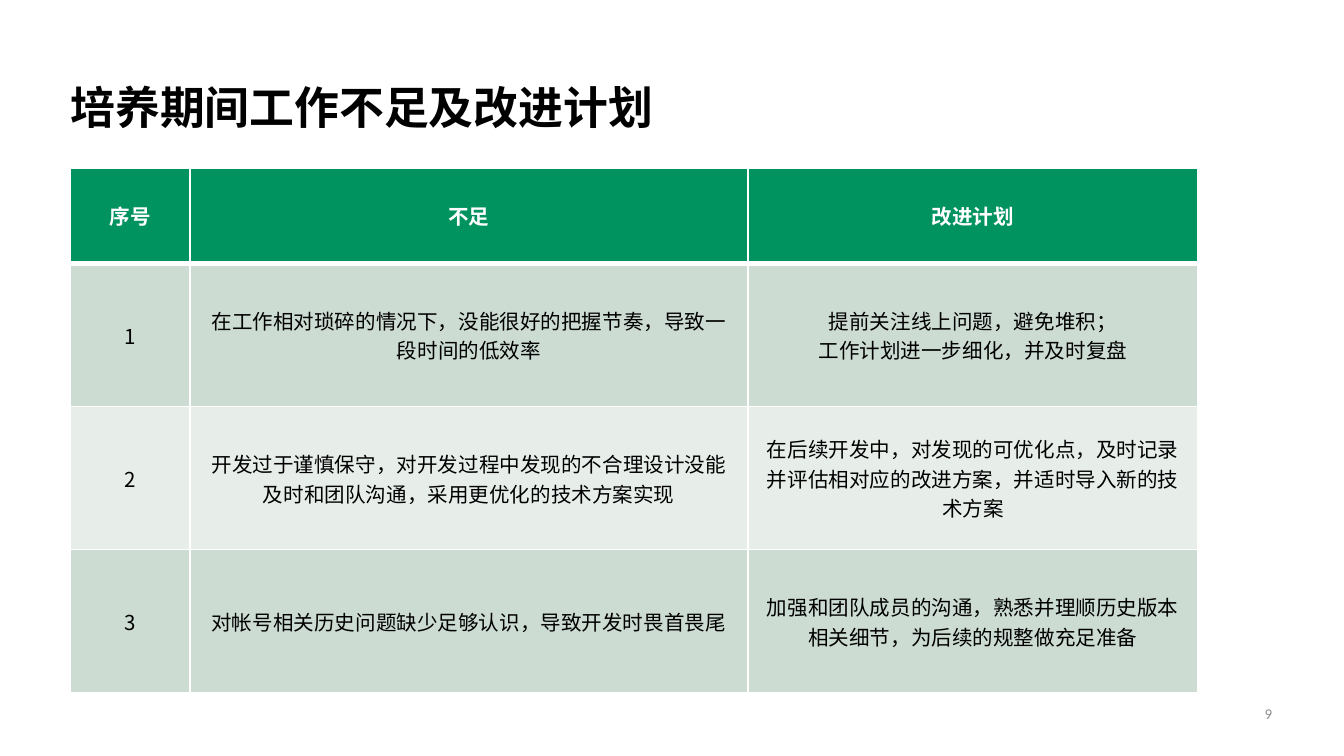
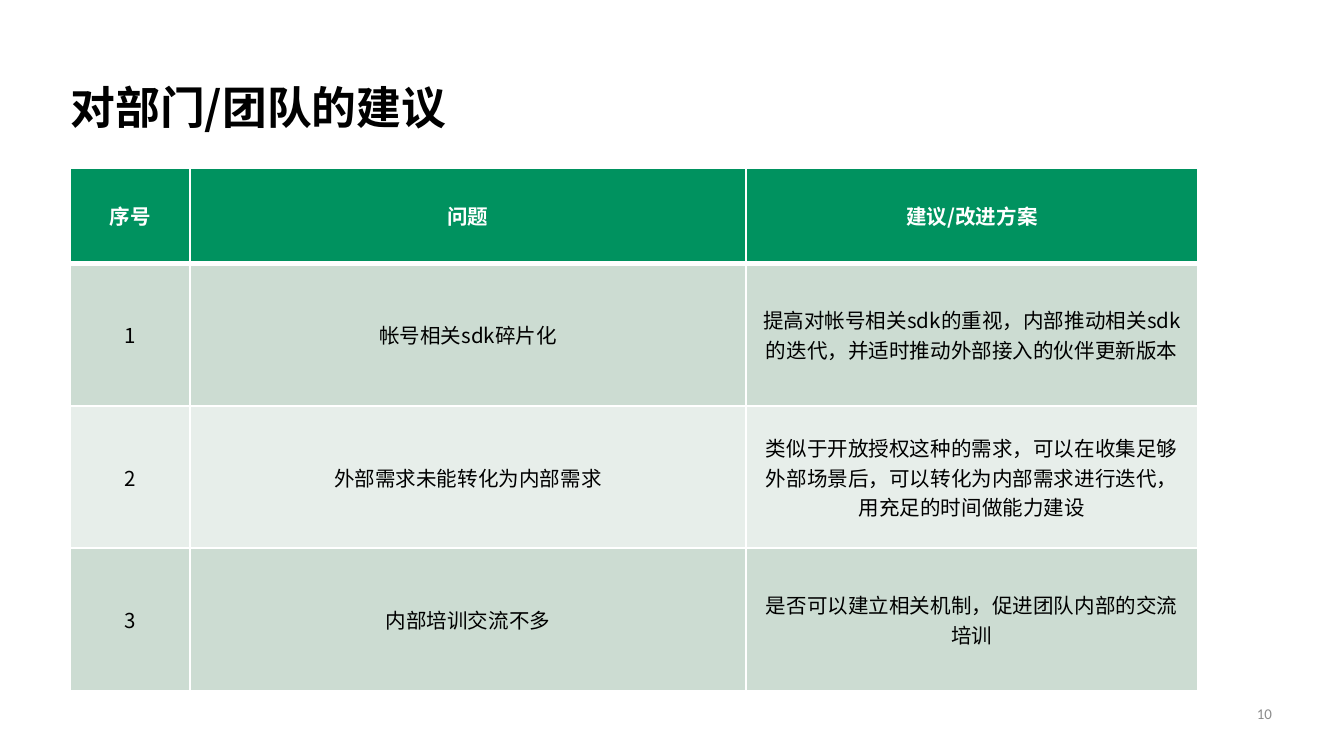
import pptx
import pptx.util
import pptx.dml.color
import pptx.enum.text
import pptx.oxml
import pptx.oxml.ns
from lxml import etree

PX = 4572  # EMU per px, 200 px to the inch
LEFT_EDGE = 105
COLORS = {
    "header": "00925F",
    "odd_row": "CCDCD2",
    "even_row": "E7EEEA",
    "border": "FFFFFF",
    "header_text": "FFFFFF",
    "text": "000000",
    "page_number": "8C8C8C",
}
CJK_FONT = "Noto Sans CJK SC"
HEADER_HEIGHT = 142
ALIGN = pptx.enum.text.PP_ALIGN
ANCHOR = pptx.enum.text.MSO_ANCHOR
AUTO_SIZE = pptx.enum.text.MSO_AUTO_SIZE

PAGES = [
    {
        "number": "9",
        "title": "培养期间工作不足及改进计划",
        "columns": [178, 830, 670],
        "row_height": 213,
        "rows": [
            ("序号", "不足", "改进计划"),
            ("1", "在工作相对琐碎的情况下，没能很好的把握节奏，导致一段时间的低效率",
             "提前关注线上问题，避免堆积；\n工作计划进一步细化，并及时复盘"),
            ("2", "开发过于谨慎保守，对开发过程中发现的不合理设计没能及时和团队沟通，采用更优化的技术方案实现",
             "在后续开发中，对发现的可优化点，及时记录并评估相对应的改进方案，并适时导入新的技术方案"),
            ("3", "对帐号相关历史问题缺少足够认识，导致开发时畏首畏尾",
             "加强和团队成员的沟通，熟悉并理顺历史版本相关细节，为后续的规整做充足准备"),
        ],
    },
    {
        "number": "10",
        "title": "对部门/团队的建议",
        "columns": [178, 827, 673],
        "row_height": 212,
        "rows": [
            ("序号", "问题", "建议/改进方案"),
            ("1", "帐号相关sdk碎片化",
             "提高对帐号相关sdk的重视，内部推动相关sdk的迭代，并适时推动外部接入的伙伴更新版本"),
            ("2", "外部需求未能转化为内部需求",
             "类似于开放授权这种的需求，可以在收集足够外部场景后，可以转化为内部需求进行迭代，用充足的时间做能力建设"),
            ("3", "内部培训交流不多",
             "是否可以建立相关机制，促进团队内部的交流培训"),
        ],
    },
]


def px(*lengths):
    return [pptx.util.Emu(length * PX) for length in lengths]


def rgb(name):
    return pptx.dml.color.RGBColor.from_string(COLORS[name])


def write(frame, text, size, color, align, bold=False, font=CJK_FONT):
    """Fill a text frame, one paragraph per line, in a single style."""
    frame.text = text
    for paragraph in frame.paragraphs:
        paragraph.alignment = align
        paragraph.font.size = pptx.util.Pt(size)
        paragraph.font.bold = bold
        paragraph.font.name = font
        paragraph.font.color.rgb = rgb(color)
        # East Asian glyphs take their own typeface entry
        defaults = paragraph._p.pPr.find(pptx.oxml.ns.qn("a:defRPr"))
        east_asian = etree.SubElement(defaults, pptx.oxml.ns.qn("a:ea"))
        east_asian.set("typeface", font)


def set_insets(frame, left, top, right, bottom):
    frame.margin_left, frame.margin_top, frame.margin_right, frame.margin_bottom = px(
        left, top, right, bottom)


def set_borders(cell, bottom):
    """Draw solid borders, 1 pt wide but for the bottom one."""
    properties = cell._tc.get_or_add_tcPr()
    widths = {"lnL": 1, "lnR": 1, "lnT": 1, "lnB": bottom}
    for position, (side, width) in enumerate(widths.items()):
        line = pptx.oxml.parse_xml(
            f'<a:{side} {pptx.oxml.ns.nsdecls("a")} w="{pptx.util.Pt(width)}">'
            f'<a:solidFill><a:srgbClr val="{COLORS["border"]}"/></a:solidFill>'
            f'</a:{side}>')
        properties.insert(position, line)


def add_title(slide, text):
    title = slide.shapes.title
    title.left, title.top, title.width, title.height = px(LEFT_EDGE, 109, 1286, 100)
    frame = title.text_frame
    frame.word_wrap = True
    frame.auto_size = AUTO_SIZE.NONE
    frame.vertical_anchor = ANCHOR.MIDDLE
    set_insets(frame, 0, 0, 20, 0)
    write(frame, text, 24, "text", ALIGN.LEFT, bold=True)


def add_page_number(slide, number):
    frame = slide.shapes.add_textbox(*px(1717, 1039, 176, 48)).text_frame
    frame.word_wrap = True
    frame.auto_size = AUTO_SIZE.SHAPE_TO_FIT_TEXT
    set_insets(frame, 20, 10, 0, 10)
    write(frame, number, 8, "page_number", ALIGN.RIGHT, font="Calibri")


def add_plan_table(slide, columns, row_height, rows):
    heights = [HEADER_HEIGHT] + [row_height] * (len(rows) - 1)
    table = slide.shapes.add_table(
        len(rows), len(columns),
        *px(LEFT_EDGE, 250, sum(columns), sum(heights))).table
    for column, width in zip(table.columns, px(*columns)):
        column.width = width
    for row, height in zip(table.rows, px(*heights)):
        row.height = height

    for r, texts in enumerate(rows):
        is_header = r == 0
        fill = "header" if is_header else "odd_row" if r % 2 else "even_row"
        for c, text in enumerate(texts):
            cell = table.cell(r, c)
            cell.vertical_anchor = ANCHOR.MIDDLE
            cell.fill.solid()
            cell.fill.fore_color.rgb = rgb(fill)
            # A thick line parts the header from the body
            set_borders(cell, bottom=3 if is_header else 1)
            write(cell.text_frame, text, 11, "header_text" if is_header else "text",
                  ALIGN.CENTER, bold=is_header)


def main():
    deck = pptx.Presentation()
    deck.slide_width, deck.slide_height = px(2000, 1125)
    title_only = deck.slide_layouts[5]
    for page in PAGES:
        slide = deck.slides.add_slide(title_only)
        add_page_number(slide, page["number"])
        add_title(slide, page["title"])
        add_plan_table(slide, page["columns"], page["row_height"], page["rows"])
    deck.save("out.pptx")


if __name__ == "__main__":
    main()
